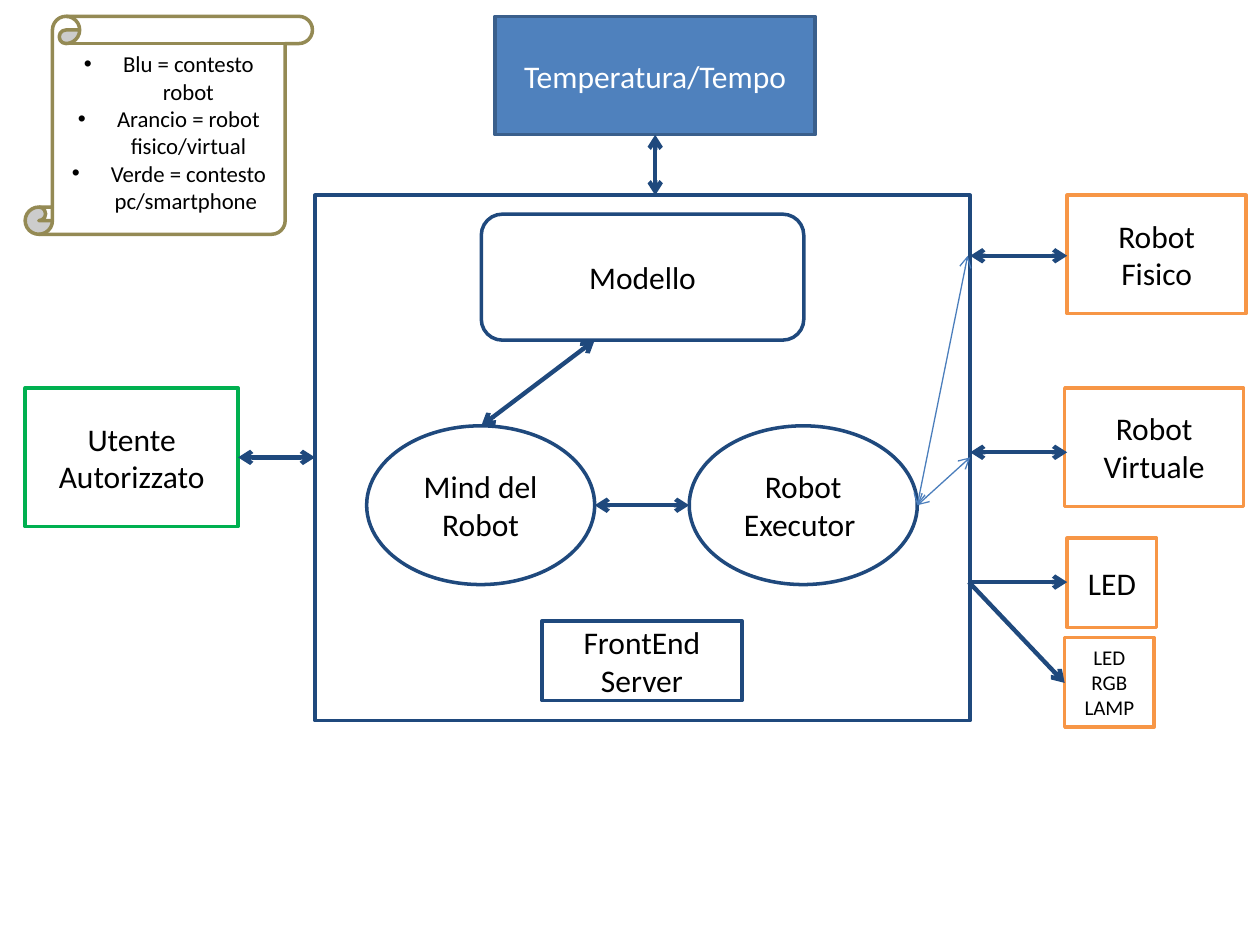
from lxml import etree
from pptx import Presentation
from pptx.dml.color import RGBColor
from pptx.enum import shapes, text
from pptx.oxml import ns
from pptx.util import Inches, Pt

COLORS = {
    "white": "FFFFFF", "black": "000000", "navy": "1F497D", "orange": "F79646",
    "green": "00B050", "khaki": "948A54", "blue": "4F81BD", "steel": "3A5F8C",
    "thin": "4B7EBC",
}
KIND = shapes.MSO_SHAPE

deck = Presentation()
deck.slide_width, deck.slide_height = Inches(10), Inches(7.5)
page = deck.slides.add_slide(deck.slide_layouts[6])


def rgb(name):
    return RGBColor.from_string(COLORS[name])


def add_box(kind, place, line, lines=(), size=18, fill="white", color="black"):
    box = page.shapes.add_shape(kind, *map(Inches, place))
    box.shadow.inherit = False
    box.fill.solid()
    box.fill.fore_color.rgb = rgb(fill)
    box.line.color.rgb = rgb(line)
    box.line.width = Pt(2)
    frame = box.text_frame
    frame.word_wrap = True
    frame.vertical_anchor = text.MSO_ANCHOR.MIDDLE
    for i, words in enumerate(lines):
        para = frame.paragraphs[0] if i == 0 else frame.add_paragraph()
        para.text = words
        para.alignment = text.PP_ALIGN.CENTER
        para.font.name = "Calibri"
        para.font.size = Pt(size)
        para.font.color.rgb = rgb(color)
    return box


# Server frame and its components
add_box(KIND.RECTANGLE, (2.5, 1.55, 5.2, 4.17), "navy")
add_box(KIND.OVAL, (2.91, 3.38, 1.81, 1.26), "navy", ["Mind del Robot"])
add_box(KIND.OVAL, (5.47, 3.38, 1.81, 1.26), "navy", ["Robot", "Executor "])
add_box(KIND.ROUNDED_RECTANGLE, (3.82, 1.7, 2.56, 1), "navy", ["Modello"])
add_box(KIND.RECTANGLE, (4.3, 4.93, 1.59, 0.63), "navy", ["FrontEnd Server"])

# Robots, lamps, user and sensor around the server
add_box(KIND.RECTANGLE, (8.47, 1.55, 1.42, 0.94), "orange", ["Robot", "Fisico"])
add_box(KIND.RECTANGLE, (8.45, 3.08, 1.42, 0.94), "orange", ["Robot", "Virtuale"])
add_box(KIND.RECTANGLE, (8.47, 4.27, 0.71, 0.71), "orange", ["LED"])
add_box(KIND.RECTANGLE, (8.45, 5.06, 0.71, 0.71), "orange", ["LED", "RGB", "LAMP"], 12)
add_box(KIND.RECTANGLE, (0.2, 3.08, 1.69, 1.1), "green", ["Utente", "Autorizzato"])
add_box(KIND.RECTANGLE, (3.93, 0.13, 2.54, 0.94), "steel", ["Temperatura/Tempo"],
        fill="blue", color="white")

# Legend scroll with bullets
legend = add_box(KIND.VERTICAL_SCROLL, (0.2, 0.13, 2.28, 1.73), "khaki", [
    "Blu = contesto robot",
    "Arancio = robot fisico/virtual",
    "Verde = contesto pc/smartphone ",
], 13)
for para in legend.text_frame.paragraphs:
    props = para._p.get_or_add_pPr()
    props.set("marL", str(Inches(0.31)))
    props.set("indent", str(Inches(-0.31)))
    font = etree.Element(ns.qn("a:buFont"), typeface="Arial")
    bullet = etree.Element(ns.qn("a:buChar"), char="•")
    props.insert(0, font)
    props.insert(1, bullet)

# Arrows: start, end, color, width, arrowheads
BOTH, END = ("headEnd", "tailEnd"), ("tailEnd",)
arrows = [
    ((1.89, 3.63), (2.5, 3.63), "navy", 2.5, BOTH),
    ((7.7, 2.03), (8.47, 2.03), "navy", 2.5, BOTH),
    ((7.7, 3.59), (8.47, 3.59), "navy", 2.5, BOTH),
    ((3.82, 3.38), (4.72, 2.7), "navy", 2.5, BOTH),
    ((4.72, 4.01), (5.47, 4.01), "navy", 2.5, BOTH),
    ((5.2, 1.07), (5.2, 1.55), "navy", 2.5, BOTH),
    ((7.28, 4.01), (7.68, 2.03), "thin", 0.75, BOTH),
    ((7.28, 4.01), (7.7, 3.63), "thin", 0.75, BOTH),
    ((7.69, 4.62), (8.47, 4.62), "navy", 2.5, END),
    ((7.69, 4.62), (8.45, 5.42), "navy", 2.5, END),
]
for start, end, color, width, heads in arrows:
    arrow = page.shapes.add_connector(
        shapes.MSO_CONNECTOR.STRAIGHT, *map(Inches, start + end))
    arrow.line.color.rgb = rgb(color)
    arrow.line.width = Pt(width)
    for head in heads:
        etree.SubElement(arrow.line._get_or_add_ln(), ns.qn("a:" + head), type="arrow")
    etree.SubElement(arrow._element.spPr, ns.qn("a:effectLst"))

deck.save("out.pptx")
